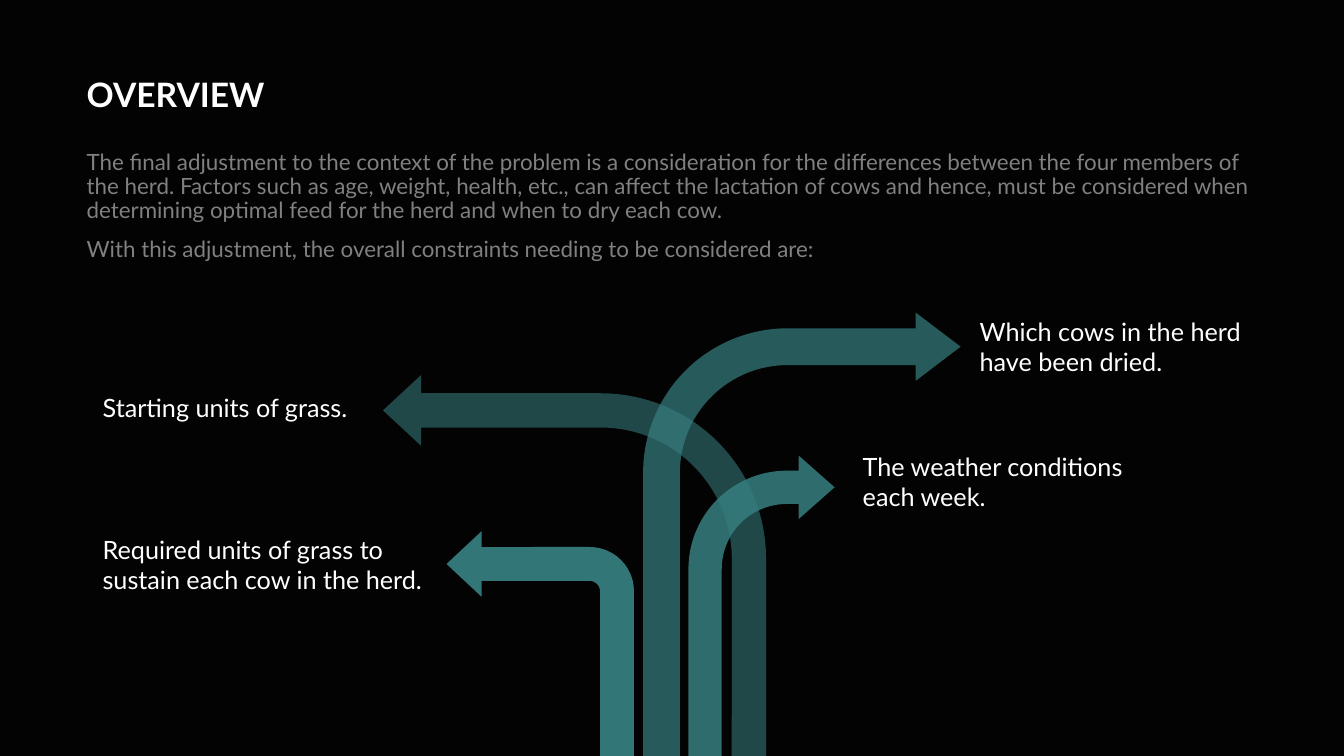
from lxml.etree import SubElement
from pptx import Presentation
from pptx.dml.color import RGBColor
from pptx.enum.shapes import MSO_SHAPE
from pptx.enum.text import MSO_ANCHOR, MSO_AUTO_SIZE, PP_ALIGN
from pptx.oxml.ns import qn
from pptx.util import Inches, Pt

BLACK = RGBColor(0x03, 0x03, 0x03)
WHITE = RGBColor(0xFF, 0xFF, 0xFF)
GRAY = RGBColor(0x80, 0x80, 0x80)
TEAL = RGBColor(0x37, 0x7E, 0x7F)
COLS, ROWS = 40, 30


def write(tf, *texts, size=18, color=WHITE, bold=False, spacing=None, gap=0,
          anchor=MSO_ANCHOR.TOP, plain=False):
    """Fill a text frame with one paragraph per text."""
    tf.word_wrap = True
    tf.auto_size = MSO_AUTO_SIZE.NONE
    tf.vertical_anchor = anchor
    for i, text in enumerate(texts):
        p = tf.paragraphs[0] if i == 0 else tf.add_paragraph()
        if plain:
            pPr = p._p.get_or_add_pPr()
            pPr.set("marL", "0")
            pPr.set("indent", "0")
            SubElement(pPr, qn("a:buNone"))
        p.alignment = PP_ALIGN.LEFT
        p.space_before = Pt(gap if i else 0)
        if spacing:
            p.line_spacing = spacing
        r = p.add_run()
        r.text = text
        r.font.name = "Lato"
        r.font.size = Pt(size)
        r.font.bold = bold
        r.font.color.rgb = color


class Deck:
    """Holds the style, the grid and the current slide."""

    def __init__(self):
        self.prs = Presentation()
        self.prs.slide_width = Inches(13.33)
        self.prs.slide_height = Inches(7.5)
        self.s = self.prs.slides.add_slide(self.prs.slide_layouts[1])
        self.s.background.fill.solid()
        self.s.background.fill.fore_color.rgb = BLACK

    def box(self, x, y, w, h):
        col = self.prs.slide_width / COLS
        row = self.prs.slide_height / ROWS
        return round(x * col), round(y * row), round(w * col), round(h * row)

    def placeholder(self, idx, cell, *texts, **fmt):
        sp = self.s.placeholders[idx]
        sp.left, sp.top, sp.width, sp.height = self.box(*cell)
        write(sp.text_frame, *texts, spacing=0.9, **fmt)

    def label(self, cell, text):
        sp = self.s.shapes.add_textbox(*self.box(*cell))
        write(sp.text_frame, text)

    def arrow(self, group, x, y, w, adjustments, opacity, flip):
        """Bent arrow that rises from the bottom edge of the slide."""
        sp = group.shapes.add_shape(MSO_SHAPE.BENT_ARROW,
                                    *self.box(x, y, w, ROWS - y))
        for i, value in enumerate(adjustments):
            sp.adjustments[i] = value
        sp.shadow.inherit = False
        sp.line.fill.background()
        sp.fill.solid()
        sp.fill.fore_color.rgb = TEAL
        spPr = sp._element.spPr
        clr = spPr.find(qn("a:solidFill")).find(qn("a:srgbClr"))
        SubElement(clr, qn("a:alpha")).set("val", str(opacity * 1000))
        if flip:
            spPr.find(qn("a:xfrm")).set("flipH", "1")


def main():
    deck = Deck()

    # Title and introduction
    deck.placeholder(0, (2.28, 2.24, 35.43, 3.16), "OVERVIEW",
                     size=24, bold=True, anchor=MSO_ANCHOR.MIDDLE)
    deck.placeholder(
        1, (2.28, 5.8, 35.43, 5.24),
        "The final adjustment to the context of the problem is a consideration "
        "for the differences between the four members of the herd. Factors such "
        "as age, weight, health, etc., can affect the lactation of cows and "
        "hence, must be considered when determining optimal feed for the herd "
        "and when to dry each cow.",
        "With this adjustment, the overall constraints needing to be considered are:",
        size=16, color=GRAY, gap=10, plain=True)

    # Arrows: left, top, width, adjustments, opacity, flipped
    arrows = [
        (19.14, 12.4, 9.45, (0.116, 0.108, 0.142, 0.455), 71, False),
        (11.4, 14.88, 11.4, (0.09, 0.093, 0.1, 0.434), 57, True),
        (13.29, 21.08, 5.58, (0.181, 0.175, 0.187, 0.236), 94, True),
        (20.49, 18.08, 4.35, (0.228, 0.217, 0.245, 0.673), 86, False),
    ]
    group = deck.s.shapes.add_group_shape()
    for arrow in arrows:
        deck.arrow(group, *arrow)

    # Constraints at the arrow tips
    labels = [
        ((25.38, 17.72, 8.85, 2.84), "The weather conditions each week."),
        ((28.86, 12.36, 8.85, 2.84), "Which cows in the herd have been dried."),
        ((2.76, 15.36, 9.06, 1.6), "Starting units of grass."),
        ((2.76, 21, 10.59, 2.84),
         "Required units of grass to sustain each cow in the herd."),
    ]
    for cell, text in labels:
        deck.label(cell, text)

    deck.prs.save("out.pptx")


if __name__ == "__main__":
    main()
